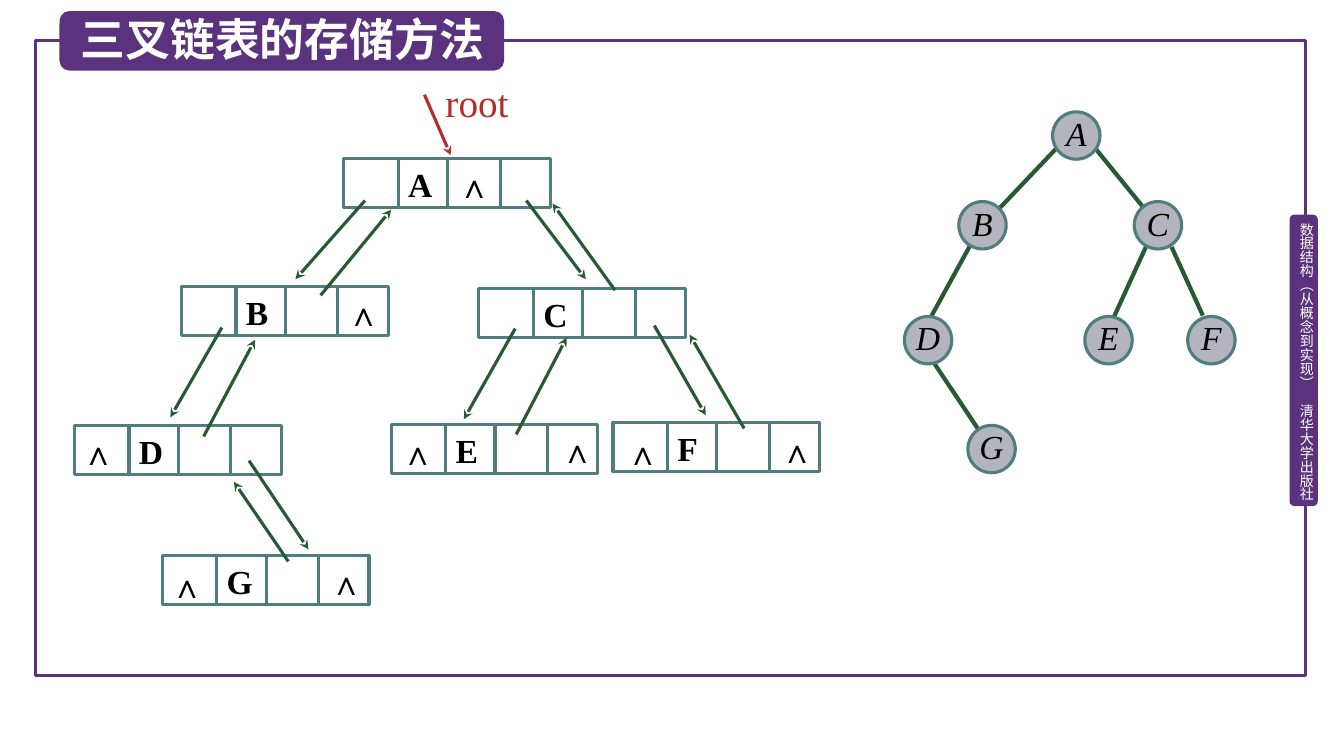
from pptx import Presentation
from pptx import util as u
from pptx.dml.color import RGBColor
from pptx.enum import shapes as kinds, text as txt
from pptx.oxml.ns import qn
from lxml import etree

# One grid unit is a hundredth of an inch: the slide has 1333 columns, 750 rows.
UNIT = u.Inches(0.01)
PURPLE, TEAL, GREEN, RED = "5A327D", "507D7D", "285A32", "B42D2D"
GRAY, BLACK, WHITE = "B4B4BE", "000000", "FFFFFF"
HAN, ROMAN = "Noto Sans CJK SC", "Times New Roman"
KIND = kinds.MSO_SHAPE

FULL = (0, 0)
LINKS = (70, 70)
TREE = (890, 110)

NODE_W, CELL, DATA_X, SPLIT_X = 205, 49, 54, 155
DISC = 47

# Letter: column, row, then the offset of each null mark in the node
NODES = {
    "A": (271, 87, [(107, 0)]),
    "B": (110, 214, [(158, 0)]),
    "C": (405, 216, []),
    "D": (4, 352, [(1, 0)]),
    "E": (318, 351, [(4, 1), (162, -1)]),
    "F": (538, 349, [(7, 3), (160, 1)]),
    "G": (91, 481, [(2, 3), (160, 0)]),
}
ARROWS = [
    (292, 129, 223, 207), (248, 223, 318, 138),  # A - B
    (452, 129, 511, 207), (540, 218, 478, 132),  # A - C
    (150, 255, 99, 344), (132, 363, 183, 267),   # B - D
    (177, 387, 236, 475), (216, 487, 162, 408),  # D - G
    (441, 256, 390, 346), (442, 361, 492, 265),  # C - E
    (579, 253, 630, 342), (668, 355, 614, 262),  # C - F
]
DISCS = {"A": (154, 1), "B": (61, 90), "C": (235, 90), "D": (7, 204),
         "E": (186, 204), "F": (288, 204), "G": (70, 312)}
EDGES = [(157, 38, 101, 97), (197, 38, 245, 97), (72, 134, 33, 205),
         (37, 251, 81, 317), (247, 134, 215, 204), (272, 135, 303, 203)]


def rgb(code):
    return RGBColor.from_string(code)


def place(box, col, row):
    return (box[0] + col) * UNIT, (box[1] + row) * UNIT


def write(shape, words, face, color, pad=None, align=None, lead=None, **font):
    """Fill a shape with one paragraph; pad is left, top, right, bottom."""
    frame = shape.text_frame
    frame.word_wrap = True
    frame.auto_size = txt.MSO_AUTO_SIZE.NONE
    frame.vertical_anchor = txt.MSO_ANCHOR.TOP
    for side, gap in zip(("left", "top", "right", "bottom"), pad or (10, 5, 10, 5)):
        setattr(frame, "margin_" + side, gap * UNIT)
    para = frame.paragraphs[0]
    para.alignment = align or txt.PP_ALIGN.LEFT
    if lead:
        para.line_spacing = u.Pt(lead)
    run = para.add_run()
    run.text = words
    run.font.color.rgb = rgb(color)
    font["size"] = u.Pt(font["size"])
    for key, value in {"name": face, **font}.items():
        setattr(run.font, key, value)
    etree.SubElement(run.font._element, qn("a:ea")).set("typeface", face)
    return frame


def shape(slide, box, kind, area, fill=None, line=None):
    col, row, wide, high = area
    item = slide.shapes.add_shape(kind, *place(box, col, row), wide * UNIT, high * UNIT)
    item.shadow.inherit = False
    if fill:
        item.fill.solid()
        item.fill.fore_color.rgb = rgb(fill)
    else:
        item.fill.background()
    if line:
        item.line.color.rgb = rgb(line)
        item.line.width = u.Pt(2.25)
    else:
        item.line.fill.background()
    return item


def label(slide, box, area, *words, **style):
    col, row, wide, high = area
    item = slide.shapes.add_textbox(*place(box, col, row), wide * UNIT, high * UNIT)
    return write(item, *words, **style)


def link(slide, box, ends, color, width=2.25, arrow=False):
    item = slide.shapes.add_connector(
        kinds.MSO_CONNECTOR.STRAIGHT, *place(box, *ends[:2]), *place(box, *ends[2:]))
    item.line.color.rgb = rgb(color)
    item.line.width = u.Pt(width)
    if arrow:
        etree.SubElement(item.line._get_or_add_ln(), qn("a:tailEnd")).set("type", "stealth")
    etree.SubElement(item._element.spPr, qn("a:effectLst"))


def border(slide, box):
    shape(slide, box, KIND.RECTANGLE, (35, 40, 1260, 630), line=PURPLE)
    shape(slide, box, KIND.ROUNDED_RECTANGLE, (1279, 213, 28, 289), fill=PURPLE)
    frame = label(slide, box, (1287, 221, 17, 281), "数据结构（从概念到实现）　清华大学出版社",
                  HAN, WHITE, pad=(0, 0, 0, 0), size=10)
    frame.word_wrap = False
    frame._txBody.bodyPr.set("vert", "eaVert")


def header(slide, box):
    shape(slide, box, KIND.ROUNDED_RECTANGLE, (59, 11, 441, 59), fill=PURPLE)
    title = slide.shapes.title
    title.left, title.top = place(box, 70, 7)
    title.width, title.height = 430 * UNIT, 64 * UNIT
    write(title, "三叉链表的存储方法", HAN, WHITE, size=32, bold=True)
    slide.shapes.element.append(title.element)  # bring above its band


def node(slide, box, name, marks):
    """Four-cell record: left link, data, parent link, right link."""
    bold = dict(lead=33, size=24, bold=True)
    shape(slide, box, KIND.RECTANGLE, (0, 0, NODE_W, CELL), line=TEAL)
    data = shape(slide, box, KIND.RECTANGLE, (DATA_X, 0, CELL, CELL), line=TEAL)
    write(data, name, ROMAN, BLACK, pad=(10, 0, 2, 1),
          align=txt.PP_ALIGN.JUSTIFY, **bold)
    link(slide, box, (SPLIT_X, 0, SPLIT_X, CELL), TEAL)
    for col, row in marks:
        label(slide, box, (col, row, 46, 45), "∧", ROMAN, BLACK, pad=(6, 1, 2, 1), **bold)


def links(slide, box):
    for name, (col, row, marks) in NODES.items():
        node(slide, (box[0] + col, box[1] + row), name, marks)
    for ends in ARROWS:
        link(slide, box, ends, GREEN, arrow=True)
    link(slide, box, (351, 24, 377, 84), RED, arrow=True)
    label(slide, box, (362, 3, 141, 57), "root", ROMAN, RED, size=28)


def tree(slide, box):
    for ends in EDGES:
        link(slide, box, ends, GREEN, width=3)
    for name, (col, row) in DISCS.items():
        disc = shape(slide, box, KIND.OVAL, (col, row, DISC, DISC), GRAY, TEAL)
        frame = write(disc, name, ROMAN, BLACK, pad=(0, 0, 0, 0),
                      align=txt.PP_ALIGN.CENTER, lead=25, size=24, italic=True)
        frame.vertical_anchor = txt.MSO_ANCHOR.MIDDLE


def main():
    deck = Presentation()
    deck.slide_width, deck.slide_height = u.Inches(13.33), u.Inches(7.5)
    slide = deck.slides.add_slide(deck.slide_layouts[5])
    border(slide, FULL)
    header(slide, FULL)
    links(slide, LINKS)
    tree(slide, TREE)
    deck.save("out.pptx")


if __name__ == "__main__":
    main()
